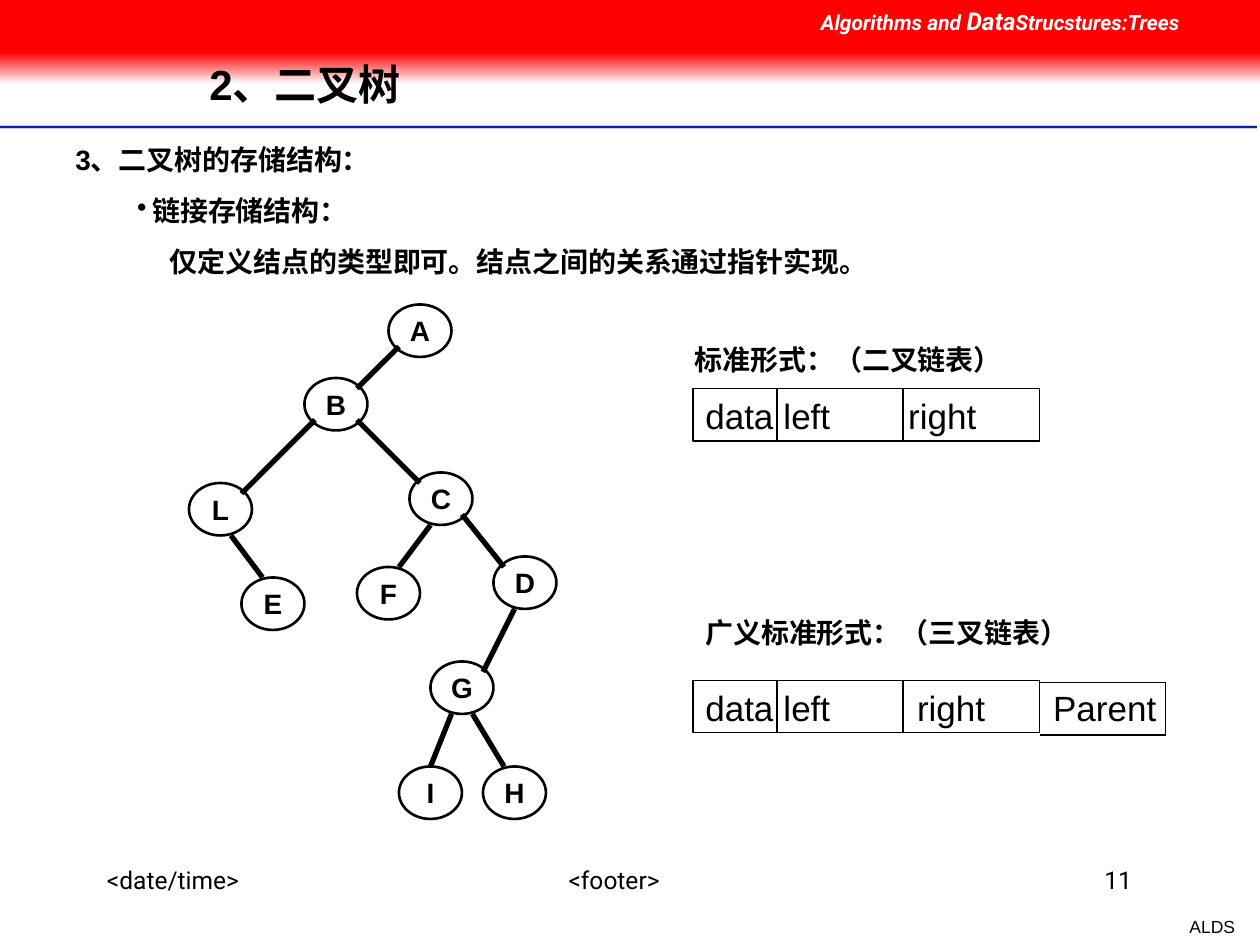
from lxml.etree import SubElement
from pptx import Presentation
from pptx.dml.color import RGBColor
from pptx.enum.shapes import MSO_CONNECTOR, MSO_SHAPE
from pptx.enum.text import MSO_ANCHOR, PP_ALIGN
from pptx.oxml.ns import qn
from pptx.util import Inches, Pt

# Twelve grid units to the inch: 120 columns by 90 rows
COLUMNS, ROWS = 120, 90
NODE_WIDTH, NODE_HEIGHT = 6, 5

# Top left corner of every node, relative to the tree
NODES = {"A": (19, 0), "B": (11, 7), "C": (21, 16), "D": (29, 24),
         "E": (5, 26), "F": (16, 25), "G": (23, 34), "H": (28, 44),
         "I": (20, 44), "L": (0, 17)}

# Parent, offset in parent, child, offset in child
EDGES = [("A", (1, 4), "B", (5, 1)), ("B", (1, 4), "L", (5, 1)),
         ("B", (5, 4), "C", (1, 1)), ("C", (5, 4), "D", (1, 1)),
         ("C", (2, 5), "F", (4, 0)), ("L", (4, 5), "E", (2, 0)),
         ("D", (2, 5), "G", (5, 1)), ("G", (2, 5), "I", (3, 0)),
         ("G", (4, 5), "H", (2, 0))]


def grid(units):
    return Inches(units / 12)


def color(hex_code):
    return RGBColor.from_string(hex_code)


def style(font, size, bold=False, name="Arial", ink="000000"):
    font.size, font.bold, font.name = Pt(size), bold, name
    font.color.rgb = color(ink)


def add_line(slide, start, end, width, ink="000000"):
    line = slide.shapes.add_connector(
        MSO_CONNECTOR.STRAIGHT, *map(grid, (*start, *end)))
    line.line.width = Pt(width)
    line.line.color.rgb = color(ink)
    SubElement(line._element.spPr, qn("a:effectLst"))


def add_block(slide, preset, box, width=None):
    """White block with a black outline, or none when no width is given."""
    block = slide.shapes.add_shape(preset, *map(grid, box))
    block.shadow.inherit = False
    block.fill.solid()
    block.fill.fore_color.rgb = color("FFFFFF")
    if width:
        block.line.width = Pt(width)
        block.line.color.rgb = color("000000")
    else:
        block.line.fill.background()
    return block


def add_label(slide, box, text, size, bold=False, name="Arial",
              align=PP_ALIGN.LEFT, wrap=True):
    label = slide.shapes.add_textbox(*map(grid, box))
    label.text_frame.word_wrap = wrap
    paragraph = label.text_frame.paragraphs[0]
    paragraph.text, paragraph.alignment = text, align
    style(paragraph.font, size, bold, name)
    return paragraph


def add_header(slide, box):
    left, top, width, height = box
    band = height * 5 / 8
    fade = add_block(slide, MSO_SHAPE.RECTANGLE,
                     (left, top + band, width, height - band))
    fade.fill.gradient()
    fade.fill.gradient_angle = 270
    for stop, ink, position in zip(fade.fill.gradient_stops,
                                   ("FF0000", "FEFEFE"), (0, 1)):
        stop.color.rgb, stop.position = color(ink), position
    red_band = add_block(slide, MSO_SHAPE.RECTANGLE, (left, top, width, band))
    red_band.fill.fore_color.rgb = color("FF0000")

    # Course name
    course = add_label(slide, (left + 77, top, width - 77, 4), "", 12)
    for text, size in (("Algorithms and ", 12), ("Data", 14),
                       ("Strucstures:Trees", 12)):
        run = course.add_run()
        run.text = text
        style(run.font, size, True, "Roboto", "FFFFFF")
        run.font.italic = True

    # Rule below the title
    for row, thickness, ink in ((12.1, 2, "CECECE"), (12.1, 1, "00279F"),
                                (12.35, 1, "FFFFFF")):
        add_line(slide, (left, top + row), (left + width - 0.25, top + row),
                 thickness, ink)


def add_footer(slide, box):
    left, top, width, height = box
    for column, span, text, align in (
            (0, 23, "<date/time>", PP_ALIGN.LEFT),
            (32, 35, "<footer>", PP_ALIGN.CENTER),
            (77, 23, "11", PP_ALIGN.RIGHT)):
        add_label(slide, (left + column, top, span, height), text, 14,
                  name="Roboto", align=align)
    add_label(slide, (left + width - 6.75, top + 4.9, 6.75, 3.25), "ALDS", 10,
              align=PP_ALIGN.RIGHT, wrap=False)


def add_title(slide, box):
    title = slide.shapes.title
    # Bring the title in front of the header band
    title._element.getparent().append(title._element)
    title.left, title.top, title.width, title.height = map(grid, box)
    title.text_frame.text = "2、二叉树"
    title.text_frame.vertical_anchor = MSO_ANCHOR.MIDDLE
    paragraph = title.text_frame.paragraphs[0]
    paragraph.alignment, paragraph.line_spacing = PP_ALIGN.LEFT, 0.9
    style(paragraph.font, 24, True)


def add_outline(slide, box):
    outline = slide.shapes.add_textbox(*map(grid, box)).text_frame
    outline.word_wrap = True
    items = (("3、二叉树的存储结构：", 0.5, 0, None),
             ("链接存储结构：", 1.11, -0.12, "•"),
             ("仅定义结点的类型即可。结点之间的关系通过指针实现。", 1.25, 0, None))
    for index, (text, margin, indent, bullet) in enumerate(items):
        paragraph = outline.add_paragraph() if index else outline.paragraphs[0]
        paragraph.text = text
        if index:
            paragraph.space_before = Pt(10)
        properties = paragraph._p.get_or_add_pPr()
        properties.set("marL", str(Inches(margin)))
        properties.set("indent", str(Inches(indent)))
        if bullet:
            SubElement(properties, qn("a:buChar"), char=bullet)
        style(paragraph.font, 16, True)


def add_tree(slide, left, top):
    def place(node, offset=(0, 0)):
        column, row = NODES[node]
        return left + column + offset[0], top + row + offset[1]

    for name in NODES:
        node = add_block(slide, MSO_SHAPE.OVAL,
                         (*place(name), NODE_WIDTH, NODE_HEIGHT), 1.5)
        node.text_frame.word_wrap = False
        node.text_frame.vertical_anchor = MSO_ANCHOR.MIDDLE
        paragraph = node.text_frame.paragraphs[0]
        paragraph.text, paragraph.alignment = name, PP_ALIGN.CENTER
        style(paragraph.font, 16, True)
    for parent, start, child, end in EDGES:
        add_line(slide, place(parent, start), place(child, end), 3)


def add_record(slide, box, fields, tab_stops):
    """Node record: a framed row whose fields are set out by tab stops."""
    left, top, width, height = box
    add_block(slide, MSO_SHAPE.RECTANGLE, box, 0.75)
    row = add_label(slide, (left, top, 54, 5.25), "", 20)
    tabs = SubElement(row._p.get_or_add_pPr(), qn("a:tabLst"))
    for stop in tab_stops:
        SubElement(tabs, qn("a:tab"), pos=str(Inches(stop)), algn="l")
    row.text = "\t".join(fields)
    style(row.font, 20)
    for column in (8, 20):
        add_line(slide, (left + column, top),
                 (left + column, top + height), 0.75)


def add_parent_field(slide, box):
    """Open frame that extends a record on its right."""
    left, top, width, height = box
    right, bottom = left + width, top + height
    for start, end in (((right, top), (right, bottom)),
                       ((left, top), (right, top)),
                       ((left, bottom), (right, bottom))):
        add_line(slide, start, end, 0.75)


def main():
    deck = Presentation()
    deck.slide_width, deck.slide_height = grid(COLUMNS), grid(ROWS)
    slide = deck.slides.add_slide(deck.slide_layouts[5])

    add_header(slide, (0, 0, COLUMNS, 8))
    add_footer(slide, (9, 81.75, 109.8, 6))
    add_title(slide, (18.75, 3.8, 90.6, 8.9))
    add_outline(slide, (0, 13, 86.5, 14.2))
    add_tree(slide, 18, 29)

    # Standard form
    add_label(slide, (65, 32, 35, 4.4), "标准形式：（二叉链表）", 16, True)
    add_record(slide, (66, 37, 33, 5), ("data", "left", "right"), (0.62, 1.61))

    # Generalised form
    add_label(slide, (66, 58, 39, 4.4), "广义标准形式：（三叉链表）", 16, True)
    add_record(slide, (66, 64.8, 33, 5), ("data", "left", "right", "Parent"),
               (0.62, 1.68, 2.76))
    add_parent_field(slide, (99, 65, 12, 5))

    deck.save("out.pptx")


if __name__ == "__main__":
    main()
